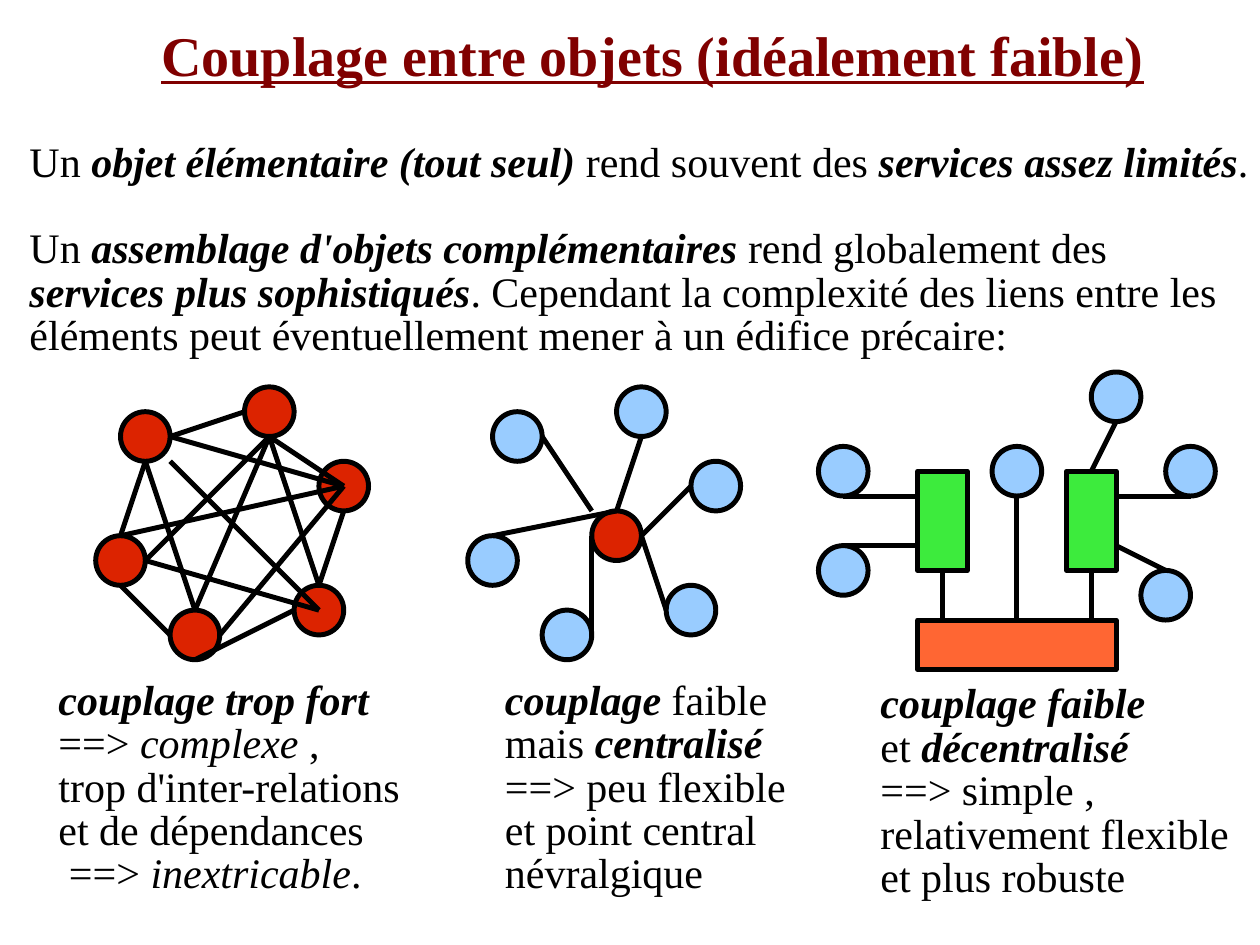
from lxml import etree
from pptx import Presentation
from pptx.dml.color import RGBColor
from pptx.enum.shapes import MSO_CONNECTOR, MSO_SHAPE
from pptx.enum.text import MSO_ANCHOR, MSO_AUTO_SIZE, PP_ALIGN
from pptx.oxml.ns import qn
from pptx.util import Cm, Pt

OVAL = MSO_SHAPE.OVAL
RECTANGLE = MSO_SHAPE.RECTANGLE
STRAIGHT = MSO_CONNECTOR.STRAIGHT
LEFT = PP_ALIGN.LEFT
TOP = MSO_ANCHOR.TOP
NO_AUTOFIT = MSO_AUTO_SIZE.NONE

FONT = "Times New Roman"
LINE_WIDTH = Pt(2.83)
LINE_SPACING = 0.86
COLORS = {
    "title": "800000",
    "black": "000000",
    "red": "DC2300",
    "blue": "99CCFF",
    "green": "3DEB3D",
    "orange": "FF6633",
}

# Text: each paragraph is a list of (words, style), b = bold, i = italic
INTRODUCTION = [
    [("Un ", ""), ("objet élémentaire (tout seul)", "bi"),
     (" rend souvent des ", ""), ("services assez limités", "bi"), (".", "")],
    [("Un ", ""), ("assemblage d'objets complémentaires", "bi"),
     (" rend globalement des", "")],
    [("services plus sophistiqués", "bi"),
     (". Cependant la complexité des liens entre les", "")],
    [("éléments peut éventuellement mener à un édifice précaire:", "")],
]
CAPTIONS = [
    ((0.93, 13.6, 7.42, 4.62), [
        [("couplage trop fort", "bi")],
        [("==> ", ""), ("complexe", "i"), (" ,", "")],
        [("trop d'inter-relations", "")],
        [("et de dépendances", "")],
        [(" ==> ", ""), ("inextricable", "i"), (".", "")],
    ]),
    ((9.93, 13.6, 6.38, 4.65), [
        [("couplage", "bi"), (" faible", "")],
        [("mais ", ""), ("centralisé", "bi")],
        [("==> peu flexible", "")],
        [("et point central", "")],
        [("névralgique", "")],
    ]),
    ((17.5, 13.67, 7.75, 4.65), [
        [("couplage faible", "bi")],
        [("et ", ""), ("décentralisé", "bi")],
        [("==> simple ,", "")],
        [("relativement flexible", "")],
        [("et plus robuste", "")],
    ]),
]

# Diagrams: centimetres from the top left corner of each diagram
STRONG_ORIGIN = (1.93, 7.8)
CENTRAL_ORIGIN = (9.43, 7.8)
DECENTRAL_ORIGIN = (16.5, 7.5)
RING_NODES = [(0.5, 0.5), (4.5, 1.5), (0, 3), (4, 4), (3, 0), (1.5, 4.5)]
HUB_NODE = (2.5, 2.5)
OUTER_NODES = [(0, 1.5), (6.5, 4), (0, 3.5), (5.5, 0), (7, 1.5), (3.5, 1.5)]
STRONG_LINKS = [
    (1.5, 1.5, 4.5, 4.5), (1, 3.5, 3.5, 1), (3.5, 1, 2, 4.5),
    (3.5, 1, 5, 2), (3, 0.5, 1.5, 1), (3.5, 1, 4.5, 4),
    (5, 2.5, 4.5, 4), (4, 4.5, 2, 5.5), (4.5, 4.5, 1, 3.5),
    (1, 1.5, 2, 4.5), (0.5, 3, 5, 2), (1, 1.5, 0.5, 3),
    (0.5, 4, 1.5, 5), (1.5, 1, 5, 2), (5, 2, 2.5, 5),
]
CENTRAL_LINKS = [
    (1.5, 1, 2.5, 2.5), (3, 2.5, 3.5, 1), (3.5, 3, 4.5, 2),
    (4, 4.5, 3.5, 3), (2.5, 5, 2.5, 3), (0.5, 3, 3, 2.5),
]
OUTER_LINKS = [
    (0.5, 3.5, 2, 3.5), (2, 2.5, 0.5, 2.5), (6, 2.5, 7.5, 2.5),
    (5.5, 2, 6, 1), (4, 5, 4, 2.5), (6, 3.5, 7, 4),
]
BASE_LINKS = [(2.5, 4, 2.5, 5), (5.5, 4, 5.5, 5)]


def color(name):
    return RGBColor.from_string(COLORS[name])


def place(shape, box):
    shape.left, shape.top, shape.width, shape.height = map(Cm, box)


def prepare_frame(text_frame):
    text_frame.word_wrap = False
    text_frame.auto_size = NO_AUTOFIT
    text_frame.vertical_anchor = TOP


def format_paragraph(paragraph):
    paragraph.alignment = LEFT
    paragraph.line_spacing = LINE_SPACING
    paragraph.space_before = Pt(0)


def format_run(run, size, color_name, style):
    run.font.name = FONT
    run.font.size = Pt(size)
    run.font.color.rgb = color(color_name)
    run.font.bold = "b" in style
    run.font.italic = "i" in style


def write_paragraphs(text_frame, paragraphs):
    prepare_frame(text_frame)
    for index, pieces in enumerate(paragraphs):
        paragraph = text_frame.add_paragraph() if index else text_frame.paragraphs[0]
        format_paragraph(paragraph)
        for words, style in pieces:
            run = paragraph.add_run()
            run.text = words
            format_run(run, 24, "black", style)


def remove_bullet(paragraph):
    properties = paragraph._p.get_or_add_pPr()
    properties.set("marL", "0")
    properties.set("indent", "0")
    etree.SubElement(properties, qn("a:buNone"))


def add_title(slide):
    title = slide.shapes.title
    place(title, (3, 0.48, 20.37, 1.5))
    title.text_frame.text = "Couplage entre objets (idéalement faible)"
    prepare_frame(title.text_frame)
    paragraph = title.text_frame.paragraphs[0]
    format_paragraph(paragraph)
    format_run(paragraph.runs[0], 32, "title", "b")
    paragraph.runs[0].font.underline = True


def add_introduction(slide):
    body = slide.placeholders[1]
    place(body, (0.34, 2.75, 25.12, 4.65))
    write_paragraphs(body.text_frame, INTRODUCTION)
    paragraphs = body.text_frame.paragraphs
    paragraphs[1].space_before = Pt(24.6)
    for paragraph in paragraphs:
        remove_bullet(paragraph)


def add_caption(slide, box, paragraphs):
    caption = slide.shapes.add_textbox(*map(Cm, box))
    write_paragraphs(caption.text_frame, paragraphs)


def add_block(slide, kind, origin, box, fill):
    left, top, width, height = box
    shape = slide.shapes.add_shape(
        kind, Cm(origin[0] + left), Cm(origin[1] + top), Cm(width), Cm(height))
    shape.shadow.inherit = False
    shape.fill.solid()
    shape.fill.fore_color.rgb = color(fill)
    shape.line.color.rgb = color("black")
    shape.line.width = LINE_WIDTH


def add_nodes(slide, origin, nodes, fill):
    for left, top in nodes:
        add_block(slide, OVAL, origin, (left, top, 1, 1), fill)


def add_links(slide, origin, links):
    x, y = origin
    for x1, y1, x2, y2 in links:
        link = slide.shapes.add_connector(
            STRAIGHT, Cm(x + x1), Cm(y + y1), Cm(x + x2), Cm(y + y2))
        link.line.color.rgb = color("black")
        link.line.width = LINE_WIDTH
        etree.SubElement(link._element.spPr, qn("a:effectLst"))


def main():
    presentation = Presentation()
    presentation.slide_width, presentation.slide_height = Cm(25.4), Cm(19.05)
    slide = presentation.slides.add_slide(presentation.slide_layouts[1])

    add_title(slide)
    add_introduction(slide)

    # Strong coupling
    add_nodes(slide, STRONG_ORIGIN, RING_NODES, "red")
    add_links(slide, STRONG_ORIGIN, STRONG_LINKS)

    # Weak, centralised coupling
    add_nodes(slide, CENTRAL_ORIGIN, RING_NODES, "blue")
    add_nodes(slide, CENTRAL_ORIGIN, [HUB_NODE], "red")
    add_links(slide, CENTRAL_ORIGIN, CENTRAL_LINKS)

    # Weak, decentralised coupling
    add_nodes(slide, DECENTRAL_ORIGIN, OUTER_NODES, "blue")
    add_links(slide, DECENTRAL_ORIGIN, OUTER_LINKS)
    for left in (5, 2):
        add_block(slide, RECTANGLE, DECENTRAL_ORIGIN, (left, 2, 1, 2), "green")
    add_block(slide, RECTANGLE, DECENTRAL_ORIGIN, (2, 5, 4, 1), "orange")
    add_links(slide, DECENTRAL_ORIGIN, BASE_LINKS)

    for box, paragraphs in CAPTIONS:
        add_caption(slide, box, paragraphs)

    presentation.save("out.pptx")


if __name__ == "__main__":
    main()
